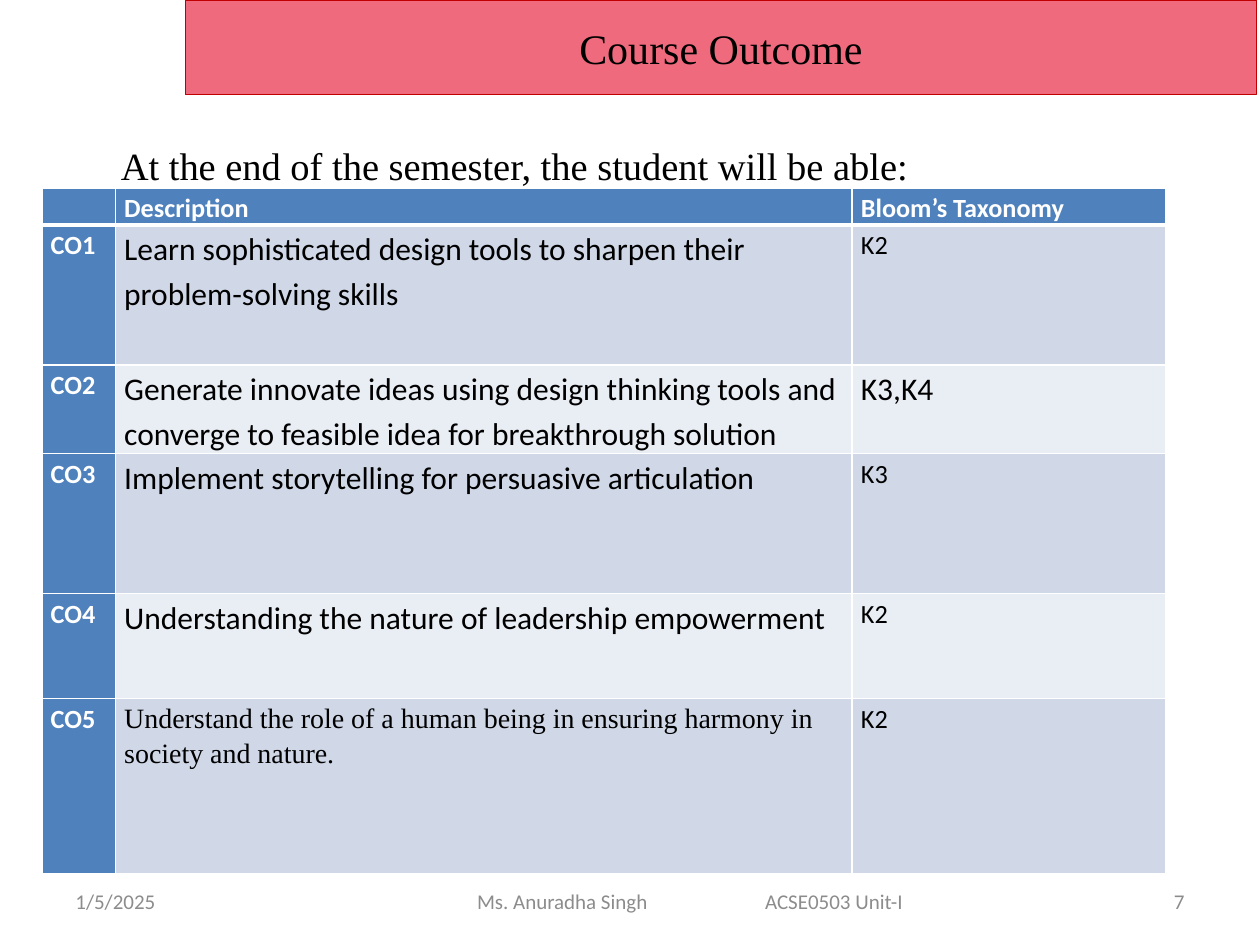
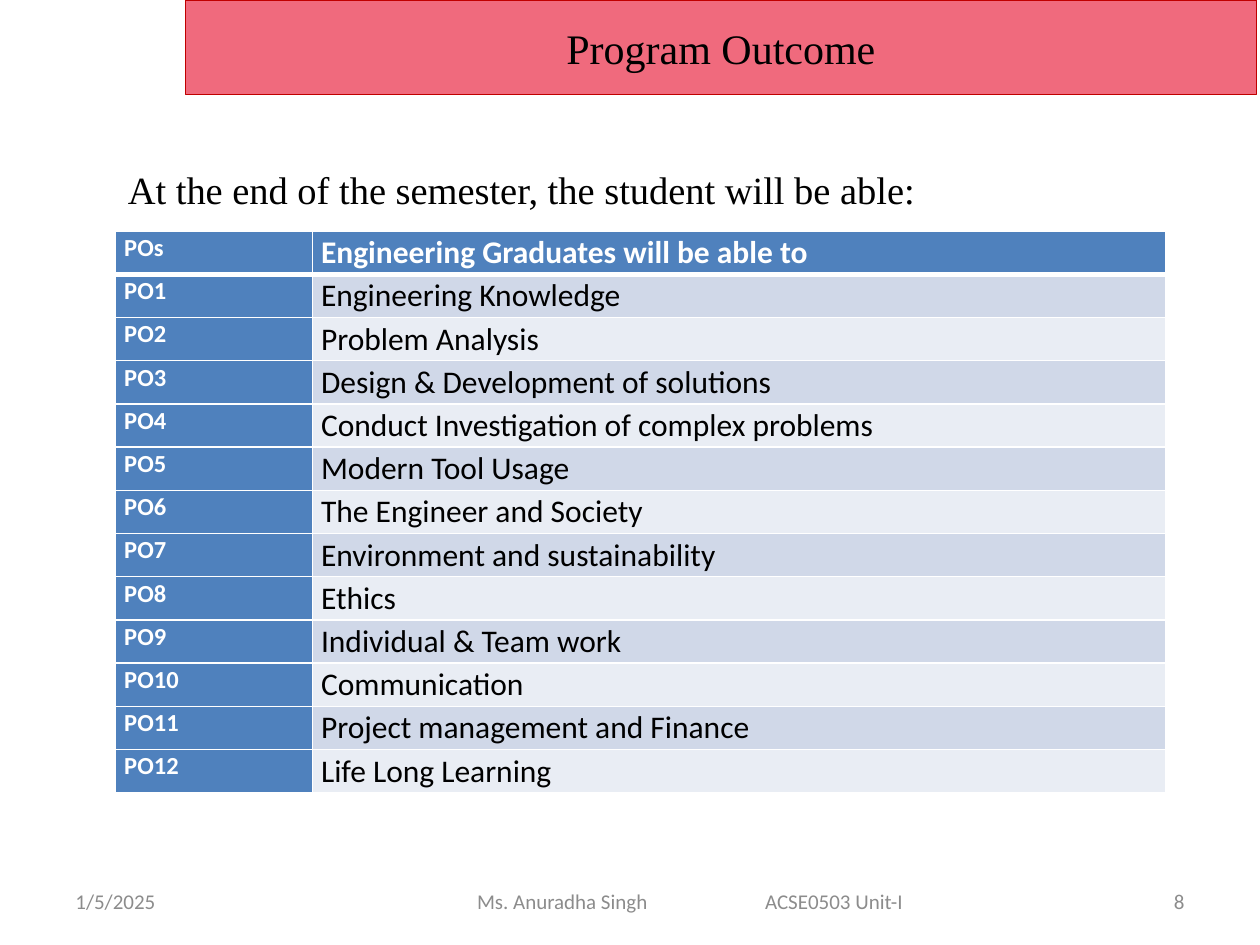
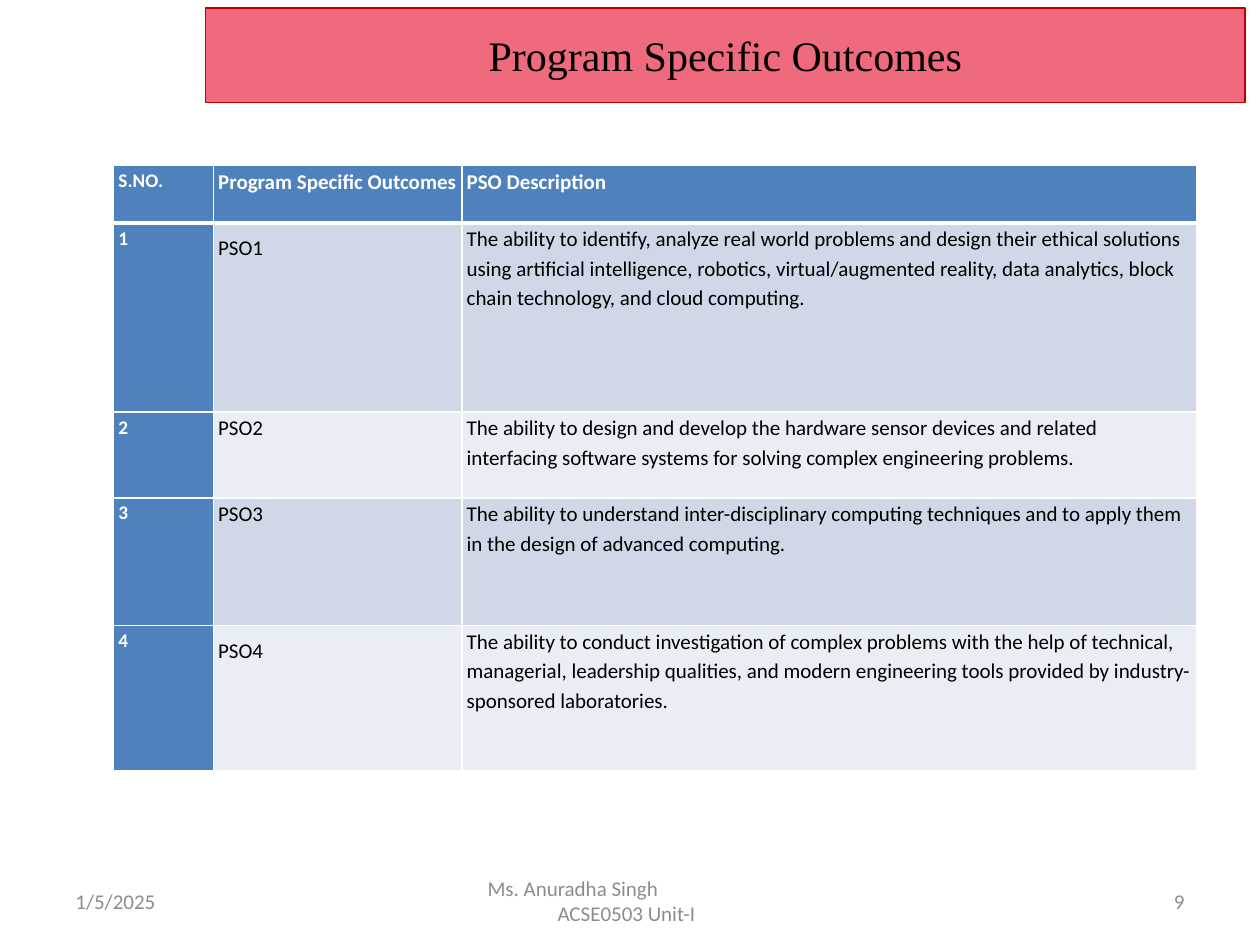
from lxml import etree
from pptx import Presentation
from pptx.dml.color import RGBColor
from pptx.enum import text
from pptx.oxml import ns
from pptx.util import Pt

COLORS = {
    "banner": "F06A7D", "banner_edge": "C00000", "ink": "000000",
    "head": "4F81BD", "odd": "D0D8E8", "even": "E9EDF4",
    "white": "FFFFFF", "footer": "8C8C8C",
}
SERIF, SANS = "Times New Roman", "Calibri"
LEFT, CENTER, RIGHT, JUSTIFY = (
    text.PP_ALIGN.LEFT, text.PP_ALIGN.CENTER, text.PP_ALIGN.RIGHT, text.PP_ALIGN.JUSTIFY)
INTRO = "At the end of the semester, the student will be able:"
AUTHOR, UNIT = "Ms. Anuradha Singh", "ACSE0503 Unit-I"

COURSE_ROWS = [
    ("", "Description", "Bloom’s Taxonomy"),
    ("CO1", "Learn sophisticated design tools to sharpen their problem-solving skills", "K2"),
    ("CO2", "Generate innovate ideas using design thinking tools and converge to "
            "feasible idea for breakthrough solution", "K3,K4"),
    ("CO3", "Implement storytelling for persuasive articulation", "K3"),
    ("CO4", "Understanding the nature of leadership empowerment", "K2"),
    ("CO5", "Understand the role of a human being in ensuring harmony in society "
            "and nature.", "K2"),
]
PROGRAM_OUTCOMES = [
    "Engineering Knowledge", "Problem Analysis", "Design & Development of solutions",
    "Conduct Investigation of complex problems", "Modern Tool Usage",
    "The Engineer and Society", "Environment and sustainability", "Ethics",
    "Individual & Team work", "Communication", "Project management and Finance",
    "Life Long Learning",
]
PSO_DESCRIPTIONS = [
    "The ability to identify, analyze real world problems and design their ethical "
    "solutions using artificial intelligence, robotics, virtual/augmented reality, "
    "data analytics, block chain technology, and cloud computing.",
    "The ability to design and develop the hardware sensor devices and related "
    "interfacing software systems for solving complex engineering problems.",
    "The ability to understand inter-disciplinary computing techniques and to apply "
    "them in the design of advanced computing.",
    "The ability to conduct investigation of complex problems with the help of "
    "technical, managerial, leadership qualities, and modern engineering tools "
    "provided by industry-sponsored laboratories.",
]


def rgb(name):
    return RGBColor.from_string(COLORS[name])


def add_xml(parent, tag, **attributes):
    return etree.SubElement(parent, ns.qn(tag), attributes)


def add_color(parent, name):
    fill = add_xml(parent, "a:solidFill")
    return add_xml(fill, "a:srgbClr", val=COLORS[name])


def style(paragraph, size, font=SANS, color="ink", bold=False, align=LEFT, spacing=1.0):
    paragraph.alignment = align
    paragraph.line_spacing = spacing
    for run in paragraph.runs:
        run.font.size = Pt(size)
        run.font.name = font
        run.font.bold = bold
        run.font.color.rgb = rgb(color)


def add_label(slide, box, words, size, anchor=text.MSO_ANCHOR.MIDDLE, **look):
    frame = slide.shapes.add_textbox(*map(Pt, box)).text_frame
    frame.word_wrap = True
    frame.vertical_anchor = anchor
    frame.text = words
    for paragraph in frame.paragraphs:
        style(paragraph, size, **look)
    return frame


def add_banner(slide, box, words):
    banner = slide.shapes.title
    banner.left, banner.top, banner.width, banner.height = map(Pt, box)
    banner.fill.solid()
    banner.fill.fore_color.rgb = rgb("banner")
    banner.line.color.rgb = rgb("banner_edge")
    banner.line.width = Pt(0.75)
    effects = add_xml(banner._element.spPr, "a:effectLst")
    shadow = add_xml(effects, "a:outerShdw", blurRad=str(Pt(3.1)), dist=str(Pt(1.6)),
                     dir="5400000", rotWithShape="0")
    add_xml(add_color(shadow, "ink"), "a:alpha", val="38000")
    banner.text_frame.text = words
    banner.text_frame.vertical_anchor = text.MSO_ANCHOR.MIDDLE
    style(banner.text_frame.paragraphs[0], 24, SERIF, align=CENTER)


def add_intro(slide, left, top):
    frame = add_label(slide, (left, top, 612, 36), INTRO, 22,
                      anchor=text.MSO_ANCHOR.TOP, font=SERIF, spacing=1.15)
    frame.paragraphs[0].space_after = Pt(10)


def add_footer(slide, number, stacked=False):
    top, height = 500.4, 28.8
    add_label(slide, (36, top, 168, height), "1/5/2025", 12, color="footer")
    add_label(slide, (516, top, 168, height), str(number), 12, color="footer", align=RIGHT)
    left, width, inset = (246, 228, 32.6) if stacked else (198, 396, 74.6)
    credit = add_label(slide, (left, top, width, height),
                       AUTHOR + ("\n" if stacked else "\t") + UNIT, 12, color="footer")
    credit.margin_left = Pt(inset)
    last = credit.paragraphs[-1]._p.get_or_add_pPr()
    if stacked:
        last.set("marL", str(Pt(40)))
    else:
        add_xml(add_xml(last, "a:tabLst"), "a:tab", pos=str(Pt(164.6)), algn="l")


def add_borders(cell, bottom):
    properties = cell._tc.get_or_add_tcPr()
    for side, width in (("L", 1), ("R", 1), ("T", 1), ("B", bottom)):
        add_color(add_xml(properties, f"a:ln{side}", w=str(Pt(width))), "white")


def add_outcomes(slide, origin, widths, heights, rows, sizes, inset, spacing, special=None):
    special = special or {}
    box = (*origin, sum(widths), sum(heights))
    table = slide.shapes.add_table(len(rows), len(widths), *map(Pt, box)).table
    for column, width in zip(table.columns, widths):
        column.width = Pt(width)
    for r, (height, entries) in enumerate(zip(heights, rows)):
        table.rows[r].height = Pt(height)
        for c, (entry, size) in enumerate(zip(entries, sizes)):
            cell = table.cell(r, c)
            cell.margin_left = cell.margin_right = Pt(inset)
            cell.margin_top = cell.margin_bottom = 0
            heading = r == 0 or c == 0
            add_borders(cell, 3 if r == 0 else 1)
            cell.fill.solid()
            cell.fill.fore_color.rgb = rgb("head" if heading else "odd" if r % 2 else "even")
            cell.text_frame.text = entry
            look = {"size": size, "bold": heading, "spacing": spacing,
                    "color": "white" if heading else "ink", **special.get((r, c), {})}
            paragraph = cell.text_frame.paragraphs[0]
            style(paragraph, **look)
            if not entry:
                add_xml(paragraph._p, "a:endParaRPr", sz=str(look["size"] * 100))


def build_course(slide):
    add_outcomes(slide, (24, 107.5), (42, 421, 179), (20, 80, 50, 80, 60, 100),
                 COURSE_ROWS, (15, 18, 15), 5, 1.15,
                 {(0, 1): {"size": 15}, (2, 2): {"size": 18}, (4, 1): {"align": JUSTIFY},
                  (5, 1): {"size": 16, "font": SERIF}})
    add_footer(slide, 7)
    add_banner(slide, (106, 0, 612, 54), "Course Outcome")
    add_intro(slide, 62, 73.5)


def build_program(slide):
    add_footer(slide, 8)
    add_banner(slide, (106, 0, 612, 54), "Program Outcome")
    add_intro(slide, 66, 87.5)
    rows = [("POs", "Engineering Graduates will be able to")]
    rows += [(f"PO{n}", outcome) for n, outcome in enumerate(PROGRAM_OUTCOMES, 1)]
    add_outcomes(slide, (66, 132), (112.5, 487.5), [24.7] * len(rows), rows, (14, 18), 5, 1.07)


def build_specific(slide):
    add_footer(slide, 9, stacked=True)
    add_banner(slide, (117.5, 4.5, 594, 54), "Program Specific Outcomes")
    rows = [("S.NO.", "Program Specific Outcomes", "PSO Description")]
    rows += [(str(n), f"PSO{n}", words) for n, words in enumerate(PSO_DESCRIPTIONS, 1)]
    loose = {"align": JUSTIFY, "spacing": 1.5}
    add_outcomes(slide, (65, 94.5), (57, 142, 420), (33, 108, 49, 73, 83), rows,
                 (11, 12, 12), 2.7, 1.15, {(1, 1): loose, (4, 1): loose})


def main():
    deck = Presentation()
    deck.slide_width, deck.slide_height = Pt(720), Pt(540)
    title_only = deck.slide_layouts[5]
    for build in (build_course, build_program, build_specific):
        build(deck.slides.add_slide(title_only))
    deck.save("out.pptx")


if __name__ == "__main__":
    main()
